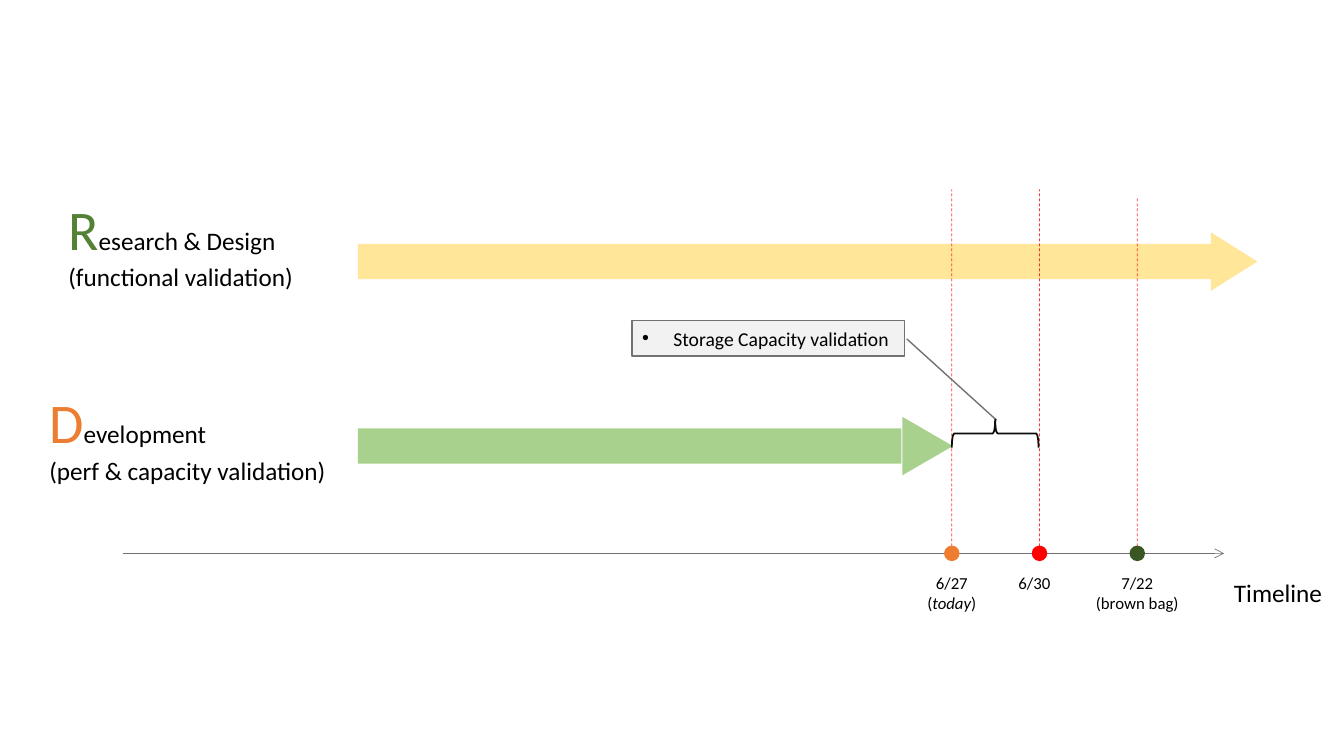
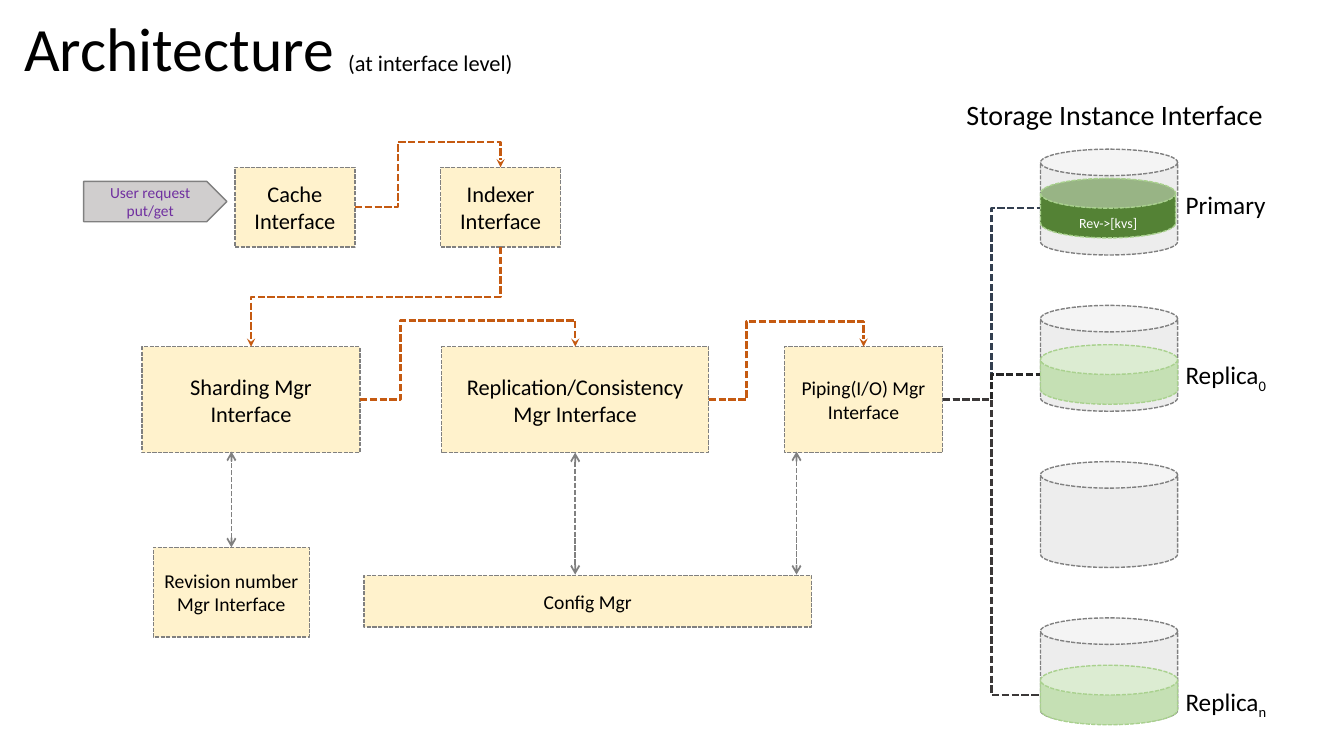
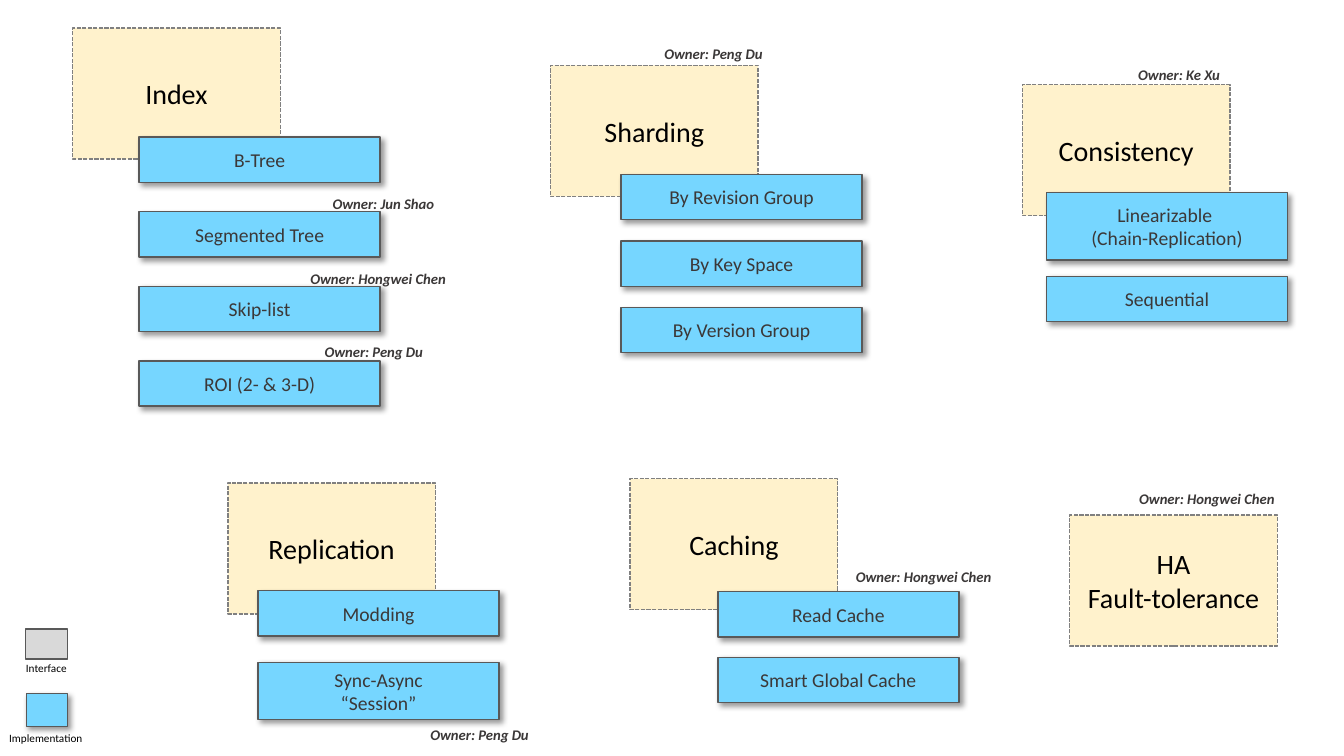
from collections import namedtuple

from lxml.etree import SubElement
from pptx import Presentation
from pptx.dml.color import RGBColor
from pptx.enum.dml import MSO_LINE
from pptx.enum.shapes import MSO_CONNECTOR, MSO_SHAPE
from pptx.enum.text import MSO_ANCHOR, MSO_AUTO_SIZE, PP_ALIGN
from pptx.oxml.ns import qn
from pptx.util import Inches, Pt

FONT = "Calibri"
BLACK = RGBColor(0x00, 0x00, 0x00)
WHITE = RGBColor(0xFF, 0xFF, 0xFF)
RED = RGBColor(0xFF, 0x00, 0x00)
ORANGE = RGBColor(0xED, 0x7D, 0x31)
RUST = RGBColor(0xC5, 0x5A, 0x11)
PURPLE = RGBColor(0x70, 0x30, 0xA0)
YELLOW = RGBColor(0xFF, 0xE6, 0x99)
CREAM = RGBColor(0xFF, 0xF2, 0xCC)
SKY = RGBColor(0x76, 0xD6, 0xFF)
FOREST = RGBColor(0x38, 0x57, 0x23)
GREEN = RGBColor(0x54, 0x82, 0x35)
LEAF = RGBColor(0xA9, 0xD1, 0x8E)
MINT = RGBColor(0xC5, 0xE0, 0xB4)
NAVY = RGBColor(0x33, 0x3F, 0x50)
INK = RGBColor(0x0D, 0x0D, 0x0D)
CHARCOAL = RGBColor(0x26, 0x26, 0x26)
UMBER = RGBColor(0x3B, 0x38, 0x38)
SLATE = RGBColor(0x59, 0x59, 0x59)
STONE = RGBColor(0x76, 0x71, 0x71)
GRAY = RGBColor(0x80, 0x80, 0x80)
SILVER = RGBColor(0xD0, 0xCE, 0xCE)
SWATCH_GRAY = RGBColor(0xD9, 0xD9, 0xD9)
CAN_GRAY = RGBColor(0xED, 0xED, 0xED)
PALE = RGBColor(0xF2, 0xF2, 0xF2)

TITLE_ONLY, BLANK = 5, 6
TOP, LEFT, BOTTOM, RIGHT = range(4)
CAN_LEFT = 2  # connection site on the left side of a can

Family = namedtuple("Family", "left top name card_dx card_dy pitch cards owners")


# Shared helpers
def style_run(run, size, color=BLACK, bold=None, italic=None):
    font = run.font
    font.name, font.size, font.bold, font.italic = FONT, Pt(size), bold, italic
    font.color.rgb = color


def write(frame, text, size, color=BLACK, align=PP_ALIGN.CENTER, bold=None, italic=None):
    frame.text = text
    for paragraph in frame.paragraphs:
        paragraph.alignment = align
        for run in paragraph.runs:
            style_run(run, size, color, bold, italic)


def append_run(paragraph, text, size, color=BLACK, italic=None):
    run = paragraph.add_run()
    run.text = text
    style_run(run, size, color, italic=italic)
    return run


def add_label(slide, box, text, size, color=BLACK, align=PP_ALIGN.LEFT, wrap=False,
              bold=None, italic=None):
    label = slide.shapes.add_textbox(*map(Inches, box))
    frame = label.text_frame
    frame.word_wrap = wrap
    frame.auto_size = MSO_AUTO_SIZE.SHAPE_TO_FIT_TEXT
    write(frame, text, size, color, align, bold, italic)
    return frame


def add_block(slide, kind, box, fill=None, line=None, width=1, dash=None):
    block = slide.shapes.add_shape(kind, *map(Inches, box))
    block.shadow.inherit = False
    if fill is None:
        block.fill.background()
    else:
        block.fill.solid()
        block.fill.fore_color.rgb = fill
    if line is None:
        block.line.fill.background()
    else:
        block.line.color.rgb = line
        block.line.width = Pt(width)
        block.line.dash_style = dash
    return block


def add_interface(slide, box, text, size):
    interface = add_block(slide, MSO_SHAPE.RECTANGLE, box, CREAM, GRAY, 1, MSO_LINE.SQUARE_DOT)
    write(interface.text_frame, text, size)
    return interface


def add_implementation(slide, box, text=""):
    card = add_block(slide, MSO_SHAPE.RECTANGLE, box, SKY, SLATE)
    effects = card.element.spPr.find(qn("a:effectLst"))
    shadow = SubElement(effects, qn("a:outerShdw"), blurRad=str(Pt(4)), dist=str(Pt(3)),
                        dir="2700000", algn="tl", rotWithShape="0")
    color = SubElement(shadow, qn("a:srgbClr"), val="000000")
    SubElement(color, qn("a:alpha"), val="40000")
    write(card.text_frame, text, 14, UMBER)


def style_line(connector, color, width, dash=None, head=None, tail=None, opacity=None):
    connector.line.color.rgb = color
    connector.line.width = Pt(width)
    connector.line.dash_style = dash
    properties = connector.element.spPr
    outline = properties.find(qn("a:ln"))
    if opacity:
        SubElement(next(outline.iter(qn("a:srgbClr"))), qn("a:alpha"), val=str(opacity * 1000))
    for end, arrow in (("a:headEnd", head), ("a:tailEnd", tail)):
        if arrow:
            SubElement(outline, qn(end), type=arrow)
    SubElement(properties, qn("a:effectLst"))


def add_line(slide, begin, end, *style, **options):
    line = slide.shapes.add_connector(MSO_CONNECTOR.STRAIGHT, *map(Inches, begin + end))
    style_line(line, *style, **options)
    return line


def add_elbow(slide, source, source_site, target, target_site, bends, color, tail=None):
    elbow = slide.shapes.add_connector(MSO_CONNECTOR.ELBOW, 0, 0, 0, 0)
    elbow.begin_connect(source, source_site)
    elbow.end_connect(target, target_site)
    geometry = elbow.element.spPr.find(qn("a:prstGeom"))
    geometry.set("prst", f"bentConnector{len(bends) + 2}")
    guides = geometry.find(qn("a:avLst"))
    for number, bend in enumerate(bends, 1):
        SubElement(guides, qn("a:gd"), name=f"adj{number}", fmla=f"val {round(bend * 100000)}")
    style_line(elbow, color, 1.75, MSO_LINE.SQUARE_DOT, tail=tail)
    return elbow


def turn_downward(elbow):
    """Let an elbow that runs down and left start with its vertical leg."""
    center_x = (elbow.begin_x + elbow.end_x) // 2
    center_y = (elbow.begin_y + elbow.end_y) // 2
    elbow.width, elbow.height = elbow.height, elbow.width
    elbow.left, elbow.top = center_x - elbow.width // 2, center_y - elbow.height // 2
    elbow.element.spPr.xfrm.attrib.pop("flipH", None)
    elbow.rotation = 90


# Timeline slide
def add_track(slide, left, top, length, tip, head, color):
    height, spread = 0.35, 0.58
    add_block(slide, MSO_SHAPE.RECTANGLE, (left, top, length, height), color)
    center_y = top + height / 2
    box = (tip - head / 2 - spread / 2, center_y - head / 2, spread, head)
    add_block(slide, MSO_SHAPE.ISOSCELES_TRIANGLE, box, color).rotation = 90


def add_track_heading(slide, left, top, width, initial, color, rest, detail):
    frame = add_label(slide, (left, top, width, 1.08), f"\n{detail}", 18, wrap=True)
    append_run(frame.paragraphs[0], initial, 40, color)
    append_run(frame.paragraphs[0], rest, 18)


def add_milestone(slide, x, color, line_top, label_x, label_width, date, note):
    dot_top, dot = 5.42, 0.14
    add_line(slide, (x, dot_top), (x, line_top), RED, 0.5, MSO_LINE.DASH, opacity=78)
    add_block(slide, MSO_SHAPE.OVAL, (x - dot / 2, dot_top, dot, dot), color, color)
    frame = add_label(slide, (label_x - label_width / 2, 5.63, label_width, 0.3), date, 12,
                      align=PP_ALIGN.CENTER)
    if note:
        paragraph = frame.add_paragraph()
        paragraph.alignment = PP_ALIGN.CENTER
        for text, italic in note:
            append_run(paragraph, text, 12, italic=italic)


def add_validation_callout(slide, left, top):
    callout = add_block(slide, MSO_SHAPE.LINE_CALLOUT_1, (left, top, 2.7, 0.35), PALE, STONE)
    for index, value in enumerate((0.521, 1.009, 2.826, 1.339)):
        callout.adjustments[index] = value
    write(callout.text_frame, "Storage Capacity validation", 14, align=PP_ALIGN.LEFT)
    properties = callout.text_frame.paragraphs[0]._p.get_or_add_pPr()
    properties.set("marL", str(Inches(0.31)))
    properties.set("indent", str(Inches(-0.31)))
    SubElement(properties, qn("a:buFont"), typeface="Arial")
    SubElement(properties, qn("a:buChar"), char="•")
    brace = add_block(slide, MSO_SHAPE.LEFT_BRACE, (left + 3.46, top + 0.69, 0.28, 0.86),
                      line=INK, width=1.25)
    brace.rotation = 90


def build_timeline(slide):
    add_track_heading(slide, 0.58, 1.88, 2.64, "R", GREEN, "esearch & Design",
                      "(functional validation)")
    add_track_heading(slide, 0.39, 3.8, 3.01, "D", ORANGE, "evelopment",
                      "(perf & capacity validation)")
    add_line(slide, (1.22, 5.49), (12.14, 5.49), STONE, 0.5, tail="arrow")
    add_label(slide, (12.14, 5.68, 1.09, 0.4), "Timeline", 18)
    add_track(slide, 3.55, 4.25, 5.39, 9.45, 0.5, LEAF)
    add_track(slide, 3.55, 2.42, 8.64, 12.47, 0.46, YELLOW)
    today = (("(", None), ("today", True), (")", None))
    for milestone in (
        (9.44, ORANGE, 1.88, 9.44, 0.69, "6/27", today),
        (10.31, RED, 1.88, 10.26, 0.52, "6/30", ()),
        (11.28, FOREST, 1.95, 11.28, 1.03, "7/22", (("(brown bag)", None),)),
    ):
        add_milestone(slide, *milestone)
    add_validation_callout(slide, 6.27, 3.18)


# Architecture slide
def add_title(slide, title, remark):
    heading = slide.shapes.title
    heading.left, heading.top, heading.width, heading.height = map(Inches, (0.14, 0.11, 11.5, 0.81))
    frame = heading.text_frame
    frame.vertical_anchor = MSO_ANCHOR.MIDDLE
    write(frame, title, 44, align=PP_ALIGN.LEFT)
    frame.paragraphs[0].line_spacing = 0.9
    append_run(frame.paragraphs[0], remark, 16)


def add_can(slide, box, fill, line):
    return add_block(slide, MSO_SHAPE.CAN, box, fill, line, 1, MSO_LINE.SQUARE_DOT)


def add_storage(slide, left, top, piping):
    pitch, width, height = 1.55, 1.36, 1.05
    add_label(slide, (left - 0.88, top - 0.56, 3.23, 0.44), "Storage Instance Interface", 20,
              align=PP_ALIGN.CENTER, wrap=True)
    for row in range(4):
        add_can(slide, (left, top + row * pitch, width, height), CAN_GRAY, GRAY)
    # Filled instances: row, level, width, colour, label, index, label offset, pipe colour
    for row, level, fill_width, color, name, index, drop, pipe_color in (
        (0, 0.29, 1.34, GREEN, "Primary", "", 0.35, NAVY),
        (1, 0.39, width, MINT, "Replica", "0", 0.49, CHARCOAL),
        (3, 0.47, width, MINT, "Replica", "n", 0.63, UMBER),
    ):
        y = top + row * pitch
        content = add_can(slide, (left, y + level, fill_width, 0.59), color, LEAF)
        content.adjustments[0] = 0.5
        if row == 0:
            content.text_frame.margin_top = Inches(0.14)
            content.text_frame.margin_bottom = 0
            write(content.text_frame, "Rev->[kvs]", 10, WHITE)
        pipe = add_elbow(slide, piping, RIGHT, content, CAN_LEFT, (0.5,), pipe_color)
        pipe.end_x, pipe.end_y = content.left, content.top + content.height // 2
        frame = add_label(slide, (left + 1.34, y + drop, 1.02, 0.4), name, 18)
        if index:
            subscript = append_run(frame.paragraphs[0], index, 18)
            subscript._r.get_or_add_rPr().set("baseline", "-25000")


def build_architecture(slide):
    add_title(slide, "Architecture ", "(at interface level)")
    request = add_block(slide, MSO_SHAPE.PENTAGON, (0.83, 1.8, 1.42, 0.4), SILVER, GRAY)
    write(request.text_frame, "User request put/get", 11, PURPLE)

    # Interfaces
    cache = add_interface(slide, (2.33, 1.66, 1.19, 0.79), "Cache Interface", 16)
    indexer = add_interface(slide, (4.37, 1.66, 1.19, 0.79), "Indexer Interface", 16)
    sharding = add_interface(slide, (1.41, 3.44, 2.16, 1.05), "Sharding Mgr Interface", 16)
    replication = add_interface(slide, (4.38, 3.44, 2.65, 1.05),
                                "Replication/Consistency Mgr Interface", 16)
    piping = add_interface(slide, (7.78, 3.44, 1.57, 1.05), "Piping(I/O) Mgr Interface", 14)
    revision = add_interface(slide, (1.52, 5.43, 1.55, 0.89), "Revision number Mgr Interface", 14)
    add_interface(slide, (3.61, 5.71, 4.44, 0.51), "Config Mgr", 14)

    # Request flow
    for source, target, bends in (
        (cache, indexer, (0.295, 1.631)),
        (sharding, replication, (0.189, 1.498)),
        (replication, piping, (0.243, 1.472)),
    ):
        add_elbow(slide, source, RIGHT, target, TOP, bends, RUST, "stealth")
    turn_downward(add_elbow(slide, indexer, BOTTOM, sharding, TOP, (0.5,), RUST, "stealth"))

    # Two-way links
    two_way = dict(dash=MSO_LINE.SQUARE_DOT, head="arrow", tail="arrow")
    for x, begin_y, end_y, joined, site in (
        (5.71, 4.49, 5.7, replication, BOTTOM),
        (7.9, 4.48, 5.7, None, None),
        (2.3, 5.43, 4.48, revision, TOP),
    ):
        link = add_line(slide, (x, begin_y), (x, end_y), GRAY, 1.25, **two_way)
        if joined:
            link.begin_connect(joined, site)
            link.end_x = link.begin_x

    add_storage(slide, 10.32, 1.48, piping)


# Features slide
OWNER_WIDTHS = {"Ke Xu": 1.04, "Peng Du": 1.19, "Jun Shao": 1.22, "Hongwei Chen": 1.57}
CARD = 0.45
FAMILIES = (
    Family(0.72, 0.28, "Index", 0.66, 1.08, 0.74,
           (("B-Tree", CARD), ("Segmented Tree", CARD), ("Skip-list", CARD),
            ("ROI (2- & 3-D)", CARD)),
           ((2.48, 1.6, "Jun Shao"), (2.26, 2.35, "Hongwei Chen"), (2.4, 3.07, "Peng Du"))),
    Family(5.46, 0.65, "Sharding", 0.7, 1.08, 0.66,
           (("By Revision Group", CARD), ("By Key Space", CARD), ("By Version Group", CARD)),
           ((1.03, -0.25, "Peng Du"),)),
    Family(10.14, 0.84, "Consistency", 0.24, 1.07, 0.83,
           (("Linearizable \n(Chain-Replication)", 0.67), ("Sequential", CARD)),
           ((1.05, -0.24, "Ke Xu"),)),
    Family(2.26, 4.79, "Replication", 0.3, 1.07, 0.71,
           (("Modding", CARD), ("Sync-Async\n“Session”", 0.57)),
           ((1.91, 2.36, "Peng Du"),)),
    Family(6.25, 4.75, "Caching", 0.87, 1.12, 0.65,
           (("Read Cache", CARD), ("Smart Global Cache", CARD)),
           ((2.14, 0.83, "Hongwei Chen"),)),
    Family(10.61, 5.11, "HA\nFault-tolerance", 0, 0, 0, (), ((0.59, -0.3, "Hongwei Chen"),)),
)


def add_family(slide, family):
    add_interface(slide, (family.left, family.top, 2.06, 1.3), family.name, 20)
    for row, (text, height) in enumerate(family.cards):
        top = family.top + family.card_dy + row * family.pitch
        add_implementation(slide, (family.left + family.card_dx, top, 2.39, height), text)
    for dx, dy, owner in family.owners:
        box = (family.left + dx, family.top + dy, OWNER_WIDTHS[owner], 0.28)
        add_label(slide, box, f"Owner: {owner}", 10.5, UMBER, bold=True, italic=True)


def add_legend(slide, left, top):
    add_block(slide, MSO_SHAPE.RECTANGLE, (left, top, 0.42, 0.3), SWATCH_GRAY, SLATE)
    add_implementation(slide, (left + 0.01, top + 0.64, 0.41, 0.33))
    for dx, dy, width, text in ((-0.44, 0.27, 1.3, "Interface"),
                                (-0.39, 0.97, 1.19, "Implementation")):
        add_label(slide, (left + dx, top + dy, width, 0.24), text, 8,
                  align=PP_ALIGN.CENTER, wrap=True)


def build_features(slide):
    for family in FAMILIES:
        add_family(slide, family)
    add_legend(slide, 0.25, 6.24)


def main():
    presentation = Presentation()
    presentation.slide_width, presentation.slide_height = Inches(13.33), Inches(7.5)
    for layout, build in ((BLANK, build_timeline), (TITLE_ONLY, build_architecture),
                          (BLANK, build_features)):
        build(presentation.slides.add_slide(presentation.slide_layouts[layout]))
    presentation.save("out.pptx")


if __name__ == "__main__":
    main()
